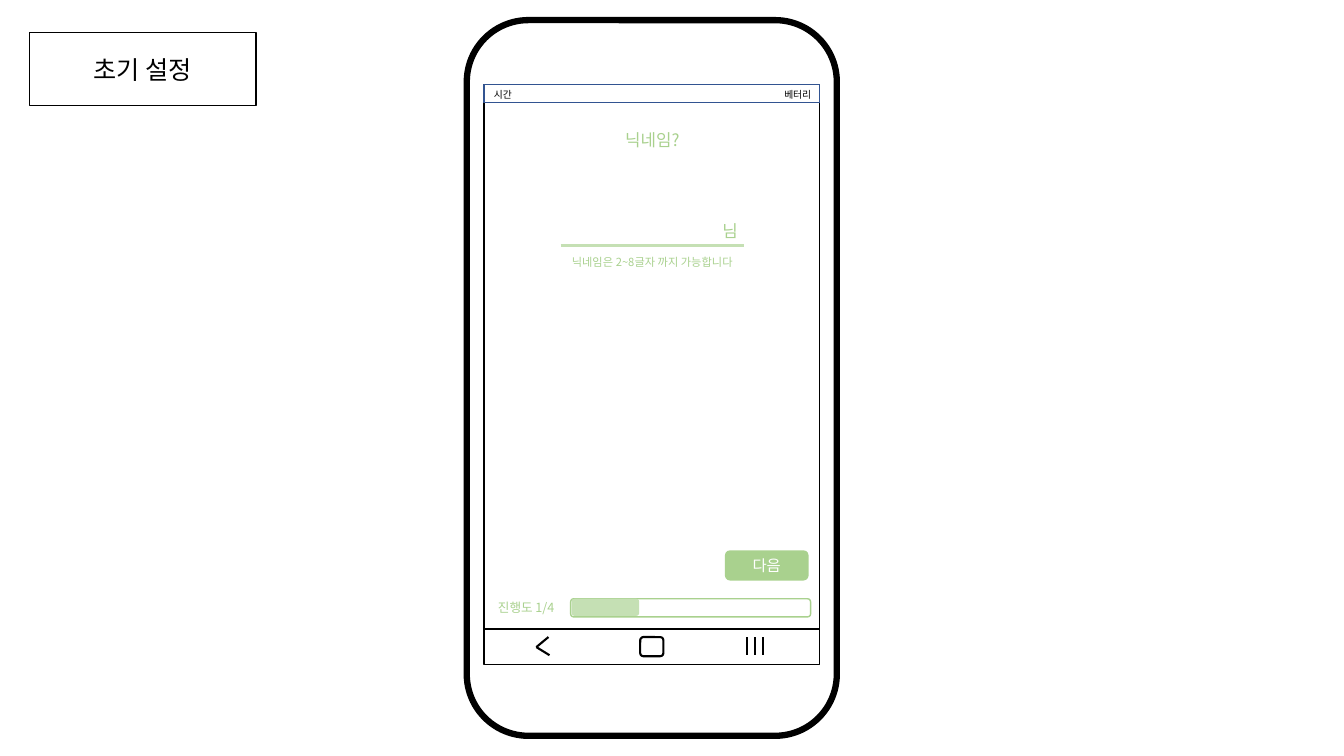
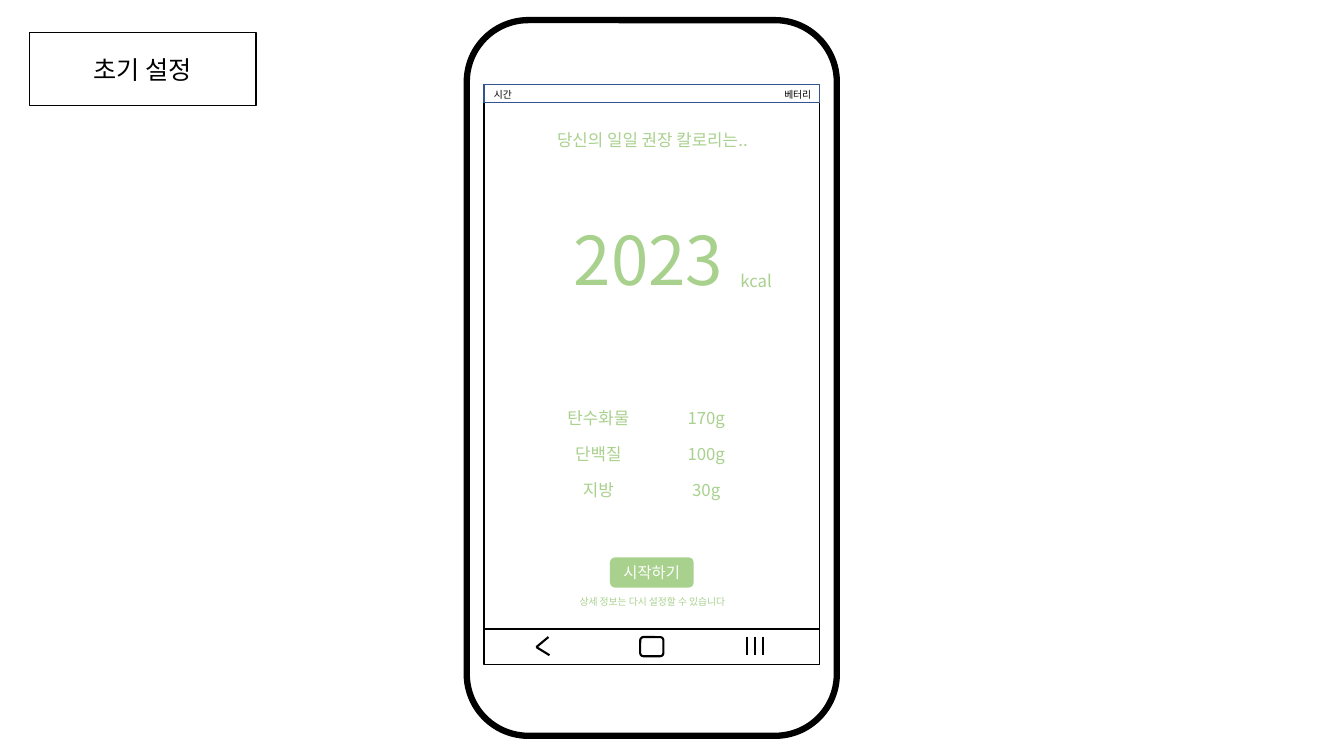
from dataclasses import dataclass

from lxml import etree
from pptx import Presentation
from pptx.dml.color import RGBColor
from pptx.enum.shapes import MSO_CONNECTOR, MSO_SHAPE
from pptx.enum.text import MSO_ANCHOR, MSO_AUTO_SIZE, PP_ALIGN
from pptx.oxml.ns import qn
from pptx.util import Inches, Pt

RECT, ROUND = MSO_SHAPE.RECTANGLE, MSO_SHAPE.ROUNDED_RECTANGLE
STRAIGHT = MSO_CONNECTOR.STRAIGHT
LEFT, CENTER = PP_ALIGN.LEFT, PP_ALIGN.CENTER
MIDDLE, TOP = MSO_ANCHOR.MIDDLE, MSO_ANCHOR.TOP
NO_FIT = MSO_AUTO_SIZE.NONE
TITLE_ONLY = 5

FONT = "Noto Sans CJK KR"
COLORS = {
    "black": "000000",
    "white": "FFFFFF",
    "green": "A9D18E",
    "pale": "C5E0B4",
    "blue": "325491",
}


@dataclass(frozen=True)
class Box:
    """A filled shape; without a line colour it has no outline."""
    left: float
    top: float
    width: float
    height: float
    kind: int = RECT
    fill: str = "white"
    line: str | None = "black"
    weight: float = 1


@dataclass(frozen=True)
class Label:
    """A text box holding one line of text."""
    text: str
    left: float
    top: float
    width: float = 2.22
    height: float = 0.3
    size: float = 12
    color: str = "green"
    align: int = CENTER


@dataclass(frozen=True)
class Line:
    """A straight line between two points."""
    x1: float
    y1: float
    x2: float
    y2: float
    color: str = "black"
    weight: float = 1.5


PHONE = [
    Box(4.63, 0.2, 3.67, 7.1, ROUND, weight=4.5),
    Box(4.8, 0.84, 3.33, 5.74),
    Box(4.8, 0.84, 3.33, 0.18, line="blue"),
    Label("시간", 4.8, 0.83, 0.52, 0.22, 7, "black", LEFT),
    Label("베터리", 7.68, 0.83, 0.52, 0.22, 7, "black", LEFT),
    Box(4.8, 6.24, 3.33, 0.35),
    Line(5.44, 6.32, 5.32, 6.42),
    Line(5.45, 6.5, 5.32, 6.42),
    Box(6.35, 6.32, 0.23, 0.19, ROUND, weight=1.5),
    *(Line(7.41 + 0.08 * i, 6.32, 7.41 + 0.08 * i, 6.5) for i in range(3)),
]
TITLE_BOX = Box(0.29, 0.32, 2.25, 0.73)

NICKNAME = [
    Label("진행도 1/4", 4.84, 5.9, 1.63, 0.25, 9, align=LEFT),
    Box(5.66, 5.94, 2.38, 0.18, ROUND, line="green"),
    Box(5.67, 5.94, 0.67, 0.17, ROUND, "pale", None),
    Line(5.56, 2.44, 7.38, 2.44, "pale", 2.25),
    Label("님", 6.13, 2.14),
    Label("닉네임은 2~8글자 까지 가능합니다", 4.91, 2.48, 3.12, 0.24, 8),
]
NUTRIENTS = [("탄수화물", "170g"), ("단백질", "100g"), ("지방", "30g")]
CALORIES = [
    Label("2023", 5.32, 2.12, height=0.91, size=48),
    Label("kcal", 6.39, 2.64),
    *(Label(text, left, 4 + 0.355 * row, 1.33)
      for row, pair in enumerate(NUTRIENTS)
      for text, left in zip(pair, (5.27, 6.34))),
    Label("상세 정보는 다시 설정할 수 있습니다", 5.36, 5.86, height=0.22, size=7),
]


def rgb(name: str) -> RGBColor:
    """Look up a named colour."""
    return RGBColor.from_string(COLORS[name])


def set_all(target, values: dict) -> None:
    """Set each named attribute of target."""
    for name, value in values.items():
        setattr(target, name, value)


def inches(*values: float) -> list:
    """Turn numbers into lengths."""
    return [Inches(v) for v in values]


def write(sp, text: str, size: float, color: str, align: int = CENTER,
          anchor: int = MIDDLE) -> None:
    """Put one formatted line of text into a shape."""
    tf = sp.text_frame
    set_all(tf, {"word_wrap": True, "auto_size": NO_FIT,
                 "vertical_anchor": anchor})
    p = tf.paragraphs[0]
    p.alignment = align
    r = p.add_run()
    r.text = text
    set_all(r.font, {"name": FONT, "size": Pt(size), "bold": False})
    r.font.color.rgb = rgb(color)
    etree.SubElement(r.font._element, qn("a:ea"), typeface=FONT)


def paint(sp, box: Box) -> None:
    """Apply the fill and outline of a box."""
    sp.fill.solid()
    sp.fill.fore_color.rgb = rgb(box.fill)
    if box.line:
        sp.line.color.rgb = rgb(box.line)
        sp.line.width = Pt(box.weight)
    else:
        sp.line.fill.background()


def add_box(s, box: Box):
    """Draw a box and return its shape."""
    sp = s.shapes.add_shape(
        box.kind, *inches(box.left, box.top, box.width, box.height))
    sp.shadow.inherit = False
    paint(sp, box)
    return sp


def add_label(s, label: Label) -> None:
    """Draw a text box."""
    sp = s.shapes.add_textbox(
        *inches(label.left, label.top, label.width, label.height))
    write(sp, label.text, label.size, label.color, label.align, TOP)


def add_line(s, line: Line) -> None:
    """Draw a line without a shadow."""
    sp = s.shapes.add_connector(
        STRAIGHT, *inches(line.x1, line.y1, line.x2, line.y2))
    sp.line.color.rgb = rgb(line.color)
    sp.line.width = Pt(line.weight)
    etree.SubElement(sp._element.spPr, qn("a:effectLst"))


DRAW = {Box: add_box, Label: add_label, Line: add_line}


def add_title(s, text: str) -> None:
    """Move the title placeholder into its frame and format it."""
    sp = s.shapes.title
    box = TITLE_BOX
    set_all(sp, dict(zip(("left", "top", "width", "height"),
                         inches(box.left, box.top, box.width, box.height))))
    paint(sp, box)
    write(sp, text, 18, "black")


def add_screen(prs, heading: str, parts: list, button: str,
               left: float, top: float) -> None:
    """Add a slide with the phone, a heading, its parts and a button."""
    s = prs.slides.add_slide(prs.slide_layouts[TITLE_ONLY])
    add_title(s, "초기 설정")
    for part in [*PHONE, Label(heading, 5.36, 1.24), *parts]:
        DRAW[type(part)](s, part)
    sp = add_box(s, Box(left, top, 0.83, 0.3, ROUND, "green", None))
    write(sp, button, 11, "white")


prs = Presentation()
prs.slide_width, prs.slide_height = inches(13.33, 7.5)
add_screen(prs, "닉네임?", NICKNAME, "다음", 7.19, 5.46)
add_screen(prs, "당신의 일일 권장 칼로리는..", CALORIES, "시작하기", 6.05, 5.53)
prs.save("out.pptx")
